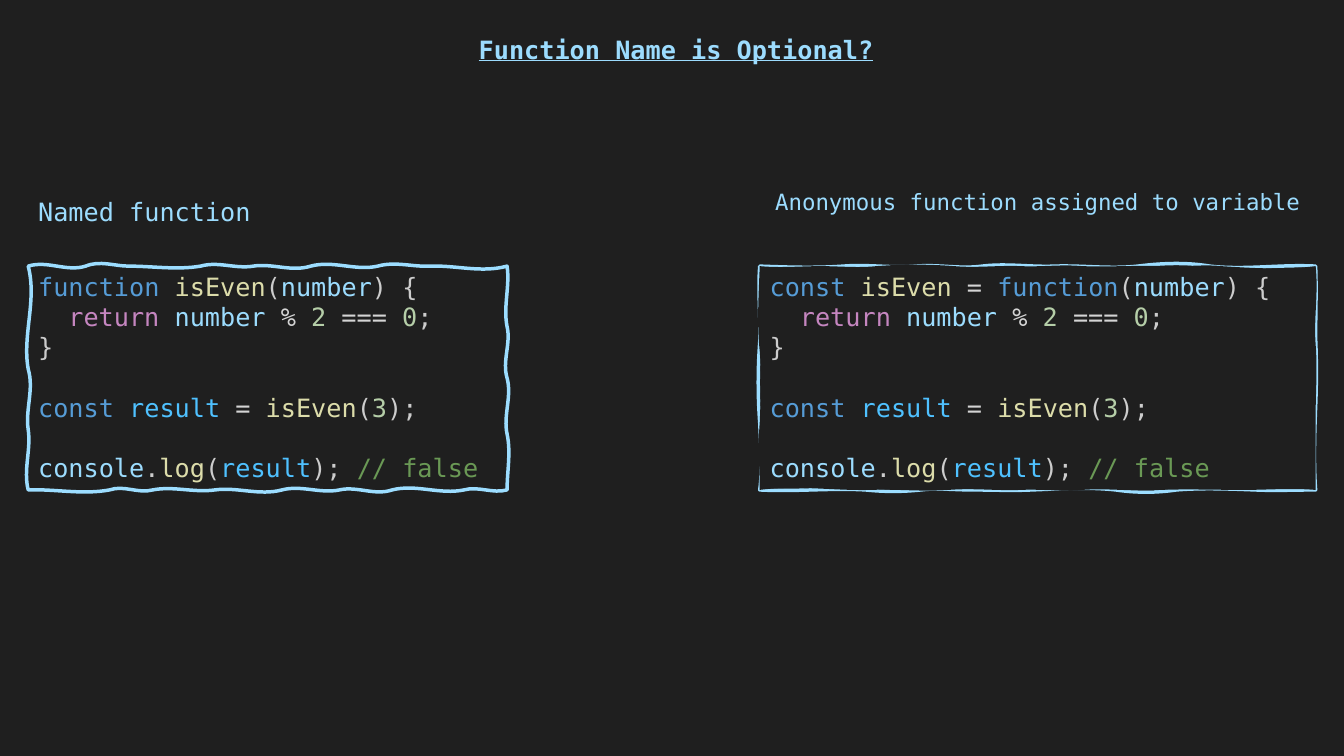
from copy import deepcopy
from dataclasses import dataclass

from lxml.etree import SubElement
from pptx import Presentation
from pptx.dml.color import RGBColor
from pptx.enum.text import MSO_ANCHOR, MSO_AUTO_SIZE, PP_ALIGN
from pptx.oxml.ns import qn
from pptx.util import Inches, Pt


@dataclass(frozen=True)
class Theme:
    """Colours, type sizes and strokes of the slide."""
    face: str = "DejaVu Sans Mono"
    background: str = "1F1F1F"
    frame: str = "9CDDFF"
    heading: str = "9CDCFE"
    plain: str = "CCCCCC"
    keyword: str = "569CD6"
    control: str = "C586C0"
    call: str = "DCDCAA"
    constant: str = "4FC1FF"
    operator: str = "D4D4D4"
    digit: str = "B5CEA8"
    remark: str = "6A9955"
    code_size: float = 18
    label_size: float = 16
    stroke: float = 2.5


THEME = Theme()
WIDTH, HEIGHT = Inches(13.33), Inches(7.5)
WAVE = HEIGHT / 750
TAB = Inches(0.3)

SYNTAX = {
    "function": THEME.keyword, "const": THEME.keyword, "return": THEME.control,
    "isEven": THEME.call, "log": THEME.call,
    "number": THEME.heading, "console": THEME.heading, "result": THEME.constant,
    "%": THEME.operator, "=": THEME.operator, "===": THEME.operator,
    "2": THEME.digit, "0": THEME.digit, "3": THEME.digit, "// false": THEME.remark,
}

NAMED_HEAD = "function| |isEven|(|number|) {"
ANONYMOUS_HEAD = "const| |isEven| |=| |function|(|number|) {"
SHARED_BODY = [
    ("return| |number| |%| |2| |===| |0|;", {"indent": TAB}),
    ("}", {}),
    ("const| |result| |=| |isEven|(|3|);", {"apart": True}),
    ("console|.|log|(|result|); |// false", {"apart": True}),
]

NAMED_AREA = (2.1, 35.2, 35.63, 29.6)
ANONYMOUS_AREA = (56.53, 35.2, 41.36, 29.6)

# Each edge, clockwise: (percent of the edge, first sway, second sway).
NAMED_WAVES = [
    [(12, -6, 6), (21, -6, 0), (36, 0, 4), (47, -5, 3),
     (59, -3, 6), (73, -6, 5), (84, -5, 1), (100, -1, 7)],
    [(27, 3, -4), (50, 4, -5), (75, 5, -4), (100, 4, 0)],
    [(9, 4, -4), (24, 5, -6), (35, 6, -4), (47, 4, -5),
     (61, 6, -3), (74, 3, -4), (83, 4, -5), (100, 5, -1)],
    [(27, -5, 3), (54, -3, 6), (100, -6, 9)],
]
OUTLINE_WAVES = [
    [(15, 1, 2), (28, -2, 2), (40, -2, 3), (53, -3, 1),
     (68, -1, 3), (81, -3, -4), (100, 4, -2)],
    [(32, 1, 0), (63, 1, 1), (100, -1, -2)],
    [(11, 0, 1), (25, -1, -2), (36, 3, 3), (51, -3, -1),
     (62, 1, 0), (71, 0, -2), (81, 2, 2), (100, -2, 2)],
    [(30, 3, 1), (66, -2, -2), (100, 1, -2)],
]
PANEL_WAVES = [
    [(11, 2, 0), (21, 0, 2), (35, -2, -2), (47, 2, -1),
     (58, 1, -2), (73, 1, -1), (83, 1, -2), (100, 2, 4)],
    [(35, 3, -2), (67, 2, 0), (100, 0, 0)],
    [(13, -2, 0), (28, 0, -1), (42, 2, -2), (53, 2, -1),
     (66, 1, -2), (80, 2, -1), (100, 1, -5)],
    [(30, 0, -2), (62, 1, 2), (100, -3, -1)],
]


def place(area):
    """Turn percentages of the slide into lengths."""
    return [round(share * side / 100) for share, side in zip(area, (WIDTH, HEIGHT) * 2)]


def add_points(parent, tag, points):
    """Append one drawing step with its points."""
    step = SubElement(parent, qn(tag))
    for x, y in points:
        SubElement(step, qn("a:pt"), x=str(round(x)), y=str(round(y)))


def draw_edge(contour, start, end, waves):
    """Append the swaying curves between two corners."""
    (x0, y0), (x1, y1) = start, end
    level = y0 == y1
    last = 0
    for percent, first, second in waves:
        reach = percent - last
        curve = []
        for part, sway in ((1 / 3, first), (2 / 3, second), (1, 0)):
            along = (last + reach * part) / 100
            x, y = x0 + (x1 - x0) * along, y0 + (y1 - y0) * along
            curve.append((x, y + sway * WAVE) if level else (x + sway * WAVE, y))
        add_points(contour, "a:cubicBezTo", curve)
        last = percent


def add_frame(slide, area, contours, fill=None):
    """Draw a hand-drawn box from wavy contours and their drawing flags."""
    left, top, width, height = place(area)
    corners = [(0, 0), (width, 0), (width, height), (0, height)]
    builder = slide.shapes.build_freeform(0, 0, scale=1.0)
    builder.add_line_segments(corners[1:], close=True)
    frame = builder.convert_to_shape(left, top)
    outlines = frame._element.spPr.find(qn("a:custGeom")).find(qn("a:pathLst"))
    outlines.clear()
    for waves, flags in contours:
        contour = SubElement(outlines, qn("a:path"), w=str(width), h=str(height), **flags)
        add_points(contour, "a:moveTo", corners[:1])
        for start, end, edge in zip(corners, corners[1:] + corners[:1], waves):
            draw_edge(contour, start, end, edge)
        SubElement(contour, qn("a:close"))
    frame.shadow.inherit = False
    if fill:
        frame.fill.solid()
        frame.fill.fore_color.rgb = RGBColor.from_string(fill)
    else:
        frame.fill.background()
    frame.line.color.rgb = RGBColor.from_string(THEME.frame)
    frame.line.width = Pt(THEME.stroke)
    return frame


def add_run(paragraph, text, colour, **style):
    """Add highlighted monospaced text and return its properties."""
    run = paragraph.add_run()
    run.text = text
    for name, value in {"name": THEME.face, "size": Pt(THEME.code_size), **style}.items():
        setattr(run.font, name, value)
    run.font.color.rgb = RGBColor.from_string(colour)
    properties = run.font._element
    highlight = SubElement(properties, qn("a:highlight"))
    SubElement(highlight, qn("a:srgbClr"), val=THEME.background)
    properties.find(qn("a:solidFill")).addnext(highlight)
    return properties


def write_code(frame, head):
    """Write the coloured listing inside a frame."""
    body = frame.text_frame
    layout = {
        "word_wrap": True, "vertical_anchor": MSO_ANCHOR.TOP,
        "auto_size": MSO_AUTO_SIZE.SHAPE_TO_FIT_TEXT,
    }
    for name, value in layout.items():
        setattr(body, name, value)
    for number, (code, spacing) in enumerate([(head, {}), *SHARED_BODY]):
        paragraph = body.add_paragraph() if number else body.paragraphs[0]
        paragraph.alignment = PP_ALIGN.LEFT
        paragraph._p.get_or_add_pPr().set("marL", str(spacing.get("indent", 0)))
        if spacing.get("apart"):
            paragraph.add_line_break()
        for token in code.split("|"):
            properties = add_run(paragraph, token, SYNTAX.get(token, THEME.plain))
        for line_break in paragraph._p.findall(qn("a:br")):
            line_break.append(deepcopy(properties))


def add_label(slide, area, text, **style):
    """Add a one-line heading."""
    body = slide.shapes.add_textbox(*place(area)).text_frame
    body.word_wrap = True
    body.auto_size = MSO_AUTO_SIZE.SHAPE_TO_FIT_TEXT
    add_run(body.paragraphs[0], text, THEME.heading, **style)


def main():
    """Build and save the slide."""
    deck = Presentation()
    deck.slide_width, deck.slide_height = WIDTH, HEIGHT
    slide = deck.slides.add_slide(deck.slide_layouts[6])
    slide.background.fill.solid()
    slide.background.fill.fore_color.rgb = RGBColor.from_string(THEME.background)

    named = add_frame(slide, NAMED_AREA, [(NAMED_WAVES, {})])
    write_code(named, NAMED_HEAD)
    layers = [(OUTLINE_WAVES, {"fill": "none"}), (PANEL_WAVES, {"stroke": "0"})]
    anonymous = add_frame(slide, ANONYMOUS_AREA, layers, fill=THEME.background)
    write_code(anonymous, ANONYMOUS_HEAD)

    add_label(slide, (34.88, 3.87, 34.51, 5.33), "Function Name is Optional?",
              bold=True, underline=True)
    add_label(slide, (56.94, 24.27, 40.59, 4.93), "Anonymous function assigned to variable",
              size=Pt(THEME.label_size))
    add_label(slide, (2.1, 25.33, 50.04, 5.33), "Named function")
    deck.save("out.pptx")


if __name__ == "__main__":
    main()
